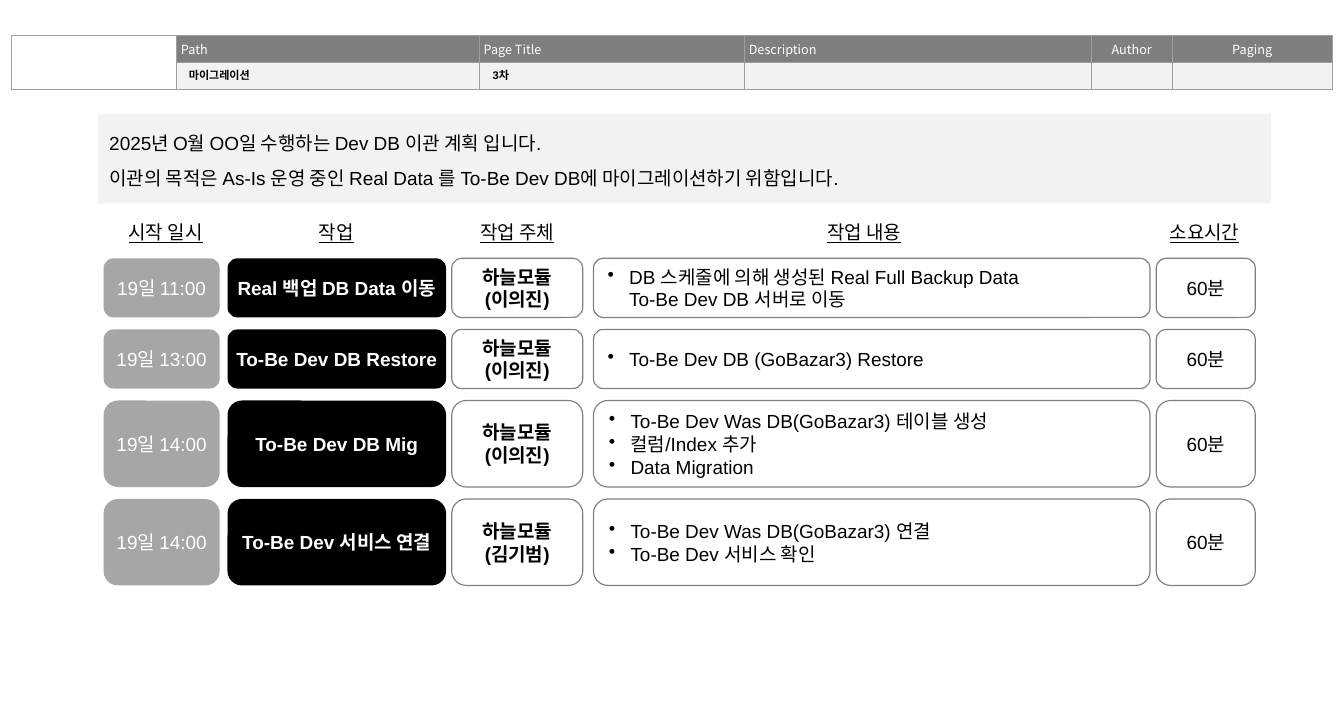
"""Build the database migration schedule slide."""
from copy import deepcopy
from dataclasses import dataclass
from typing import Optional

from lxml.etree import SubElement
from pptx import Presentation
from pptx.dml.color import RGBColor
from pptx.enum.shapes import MSO_SHAPE
from pptx.enum.text import MSO_ANCHOR as Anchor, MSO_AUTO_SIZE as AutoSize, PP_ALIGN as Align
from pptx.oxml.ns import qn
from pptx.util import Emu, Inches, Pt


@dataclass(frozen=True)
class Theme:
    font: str = "Arial"
    korean: str = "Noto Sans CJK KR"
    black: str = "000000"
    white: str = "FFFFFF"
    panel: str = "F2F2F2"
    header: str = "7F7F7F"
    time: str = "A6A6A6"
    outline: str = "808080"
    border: str = "9E9E9E"
    body_size: float = 12
    header_size: float = 8
    path_size: float = 7
    line_width: float = 0.75
    leading: float = 22


@dataclass(frozen=True)
class Column:
    heading: str
    heading_left: float
    left: float
    width: float
    fill: Optional[str] = None
    bold: bool = False
    bullet: Optional[str] = None


@dataclass(frozen=True)
class Task:
    height: float
    cells: tuple[str, str, str, str, str]


T = Theme()
WIDTH, HEIGHT = Inches(11.81), Inches(6.3)
HEADING_TOP, HEADING_WIDTH, HEADING_HEIGHT = 30, 9.74, 4.76
TASK_TOP, TASK_GAP = 36.03, 1.67
SHORT, TALL = 8.25, 12.06
HEADER_COLS = (12.28, 22.52, 19.73, 25.83, 6.01, 3.81, 3.73, 4.4)
HEADER_ROW = 3.78
HEADER_LABELS = ("", "Path", "Page Title", "Description", "Author", "Paging", "", "")
COLUMNS = (
    Column("시작 일시", 7.45, 7.71, 8.64, fill=T.time),
    Column("작업", 20.15, 16.93, 16.26, fill=T.black, bold=True),
    Column("작업 주체", 33.62, 33.62, 9.74, bold=True),
    Column("작업 내용", 59.44, 44.16, 41.41, bullet="•"),
    Column("소요시간", 84.76, 86.03, 7.37),
)
TASKS = (
    Task(SHORT, ("19일 11:00", "Real 백업 DB Data 이동", "하늘모듈\n(이의진)",
                 "DB 스케줄에 의해 생성된 Real Full Backup Data\vTo-Be Dev DB 서버로 이동", "60분")),
    Task(SHORT, ("19일 13:00", "To-Be Dev DB Restore", "하늘모듈\n(이의진)",
                 "To-Be Dev DB (GoBazar3) Restore", "60분")),
    Task(TALL, ("19일 14:00", "To-Be Dev DB Mig", "하늘모듈\n(이의진)",
                "To-Be Dev Was DB(GoBazar3) 테이블 생성\n컬럼/Index 추가\nData Migration", "60분")),
    Task(TALL, ("19일 14:00", "To-Be Dev 서비스 연결", "하늘모듈\n(김기범)",
                "To-Be Dev Was DB(GoBazar3) 연결\nTo-Be Dev 서비스 확인", "60분")),
)
INTRO = ("2025년 O월 OO일 수행하는 Dev DB 이관 계획 입니다.\n"
         "이관의 목적은 As-Is 운영 중인 Real Data 를 To-Be Dev DB에 마이그레이션하기 위함입니다.")


def rgb(color: str) -> RGBColor:
    return RGBColor.from_string(color)


def box(left: float, top: float, width: float, height: float) -> tuple[Emu, ...]:
    shares = ((left, WIDTH), (top, HEIGHT), (width, WIDTH), (height, HEIGHT))
    return tuple(Emu(round(share * full / 100)) for share, full in shares)


def place(sp, *area: float) -> None:
    sp.left, sp.top, sp.width, sp.height = box(*area)


def write(tf, text: str, *, size: float = T.body_size, color: str = T.black,
          font: str = T.font, bold: bool = False, underline: bool = False,
          align: Align = Align.LEFT, bullet: Optional[str] = None,
          leading: Optional[float] = None) -> None:
    for i, line in enumerate(text.split("\n")):
        p = tf.add_paragraph() if i else tf.paragraphs[0]
        p.text = line
        p.alignment = align
        p.space_before = Pt(0)
        if leading:
            p.line_spacing = Pt(leading)
        pPr = p._p.get_or_add_pPr()
        indent = Inches(0.19) if bullet else 0
        pPr.set("marL", str(indent))
        pPr.set("indent", str(-indent))
        if bullet:
            SubElement(pPr, qn("a:buChar"), char=bullet)
        else:
            SubElement(pPr, qn("a:buNone"))
        for r in p.runs:
            f = r.font
            f.name, f.size, f.bold, f.underline = font, Pt(size), bold, underline
            f.color.rgb = rgb(color)
            SubElement(r._r.rPr, qn("a:ea"), typeface=T.korean)
        for br in p._p.findall(qn("a:br")):
            br.append(deepcopy(p.runs[0]._r.rPr))
        if not line:
            p._p.get_or_add_endParaRPr().set("sz", str(round(size * 100)))


def set_frame(tf, anchor: Anchor, wrap: bool = True) -> None:
    tf.auto_size = AutoSize.NONE
    tf.word_wrap = wrap
    tf.vertical_anchor = anchor


def add_label(s, area: tuple[float, ...], text: str, **fmt) -> None:
    tf = s.shapes.add_textbox(*box(*area)).text_frame
    set_frame(tf, Anchor.TOP)
    write(tf, text, **fmt)


def add_borders(cell, sides: str) -> None:
    tcPr = cell._tc.get_or_add_tcPr()
    for side in "LRTB":
        ln = SubElement(tcPr, qn(f"a:ln{side}"), w=str(Pt(T.line_width)))
        if side in sides:
            SubElement(SubElement(ln, qn("a:solidFill")), qn("a:srgbClr"), val=T.border)
        else:
            SubElement(ln, qn("a:noFill"))


def add_header(s) -> None:
    area = box(0.85, 4.92, sum(HEADER_COLS), 2 * HEADER_ROW)
    table = s.shapes.add_table(2, len(HEADER_COLS), *area).table
    table.first_row = table.horz_banding = False
    for row in table.rows:
        row.height = box(0, 0, 0, HEADER_ROW)[3]
    for j, (width, label) in enumerate(zip(HEADER_COLS, HEADER_LABELS)):
        table.columns[j].width = box(0, 0, width, 0)[2]
        for i in range(2):
            cell = table.cell(i, j)
            cell.margin_left = cell.margin_right = Inches(0.04)
            cell.margin_top = cell.margin_bottom = Inches(0.04)
            cell.vertical_anchor = Anchor.MIDDLE
            inner = "TB" + "L" * (j <= 5) + "R" * (j not in (5, 6))
            add_borders(cell, inner if i else "LRTB")
            if j:
                cell.fill.solid()
                cell.fill.fore_color.rgb = rgb(T.panel if i else T.header)
            else:
                cell.fill.background()
            write(cell.text_frame, "" if i else label, size=T.header_size, color=T.white,
                  font=T.korean, align=Align.CENTER if j >= 4 else Align.LEFT)
    table.cell(0, 0).merge(table.cell(1, 0))
    table.cell(0, 5).merge(table.cell(0, 7))


def add_card(s, col: Column, top: float, height: float, text: str) -> None:
    area = box(col.left, top, col.width, height)
    sp = s.shapes.add_shape(MSO_SHAPE.ROUNDED_RECTANGLE, *area)
    sp.shadow.inherit = False
    sp.fill.solid()
    sp.fill.fore_color.rgb = rgb(col.fill or T.white)
    if col.fill:
        sp.line.fill.background()
    else:
        clr = sp._element.spPr.find(qn("a:solidFill"))[0]
        SubElement(clr, qn("a:alpha"), val="50000")
        sp.line.color.rgb = rgb(T.outline)
        sp.line.width = Pt(T.line_width)
    set_frame(sp.text_frame, Anchor.MIDDLE, wrap=bool(col.bullet))
    write(sp.text_frame, text, color=T.white if col.fill else T.black, bold=col.bold,
          align=Align.LEFT if col.bullet else Align.CENTER, bullet=col.bullet)


def main() -> None:
    prs = Presentation()
    prs.slide_width, prs.slide_height = WIDTH, HEIGHT
    s = prs.slides.add_slide(prs.slide_layouts[1])
    title, intro = s.shapes.title, s.placeholders[1]
    add_header(s)
    s.shapes._spTree.append(title._element)
    place(title, 13.21, 8.73, 21.51, 3.49)
    set_frame(title.text_frame, Anchor.TOP)
    write(title.text_frame, "마이그레이션", size=T.path_size, bold=True)
    add_label(s, (35.82, 8.73, 19.56, 3.49), "3차", size=T.path_size, bold=True)
    place(intro, 7.28, 15.87, 87.3, 12.54)
    intro.fill.solid()
    intro.fill.fore_color.rgb = rgb(T.panel)
    set_frame(intro.text_frame, Anchor.TOP)
    write(intro.text_frame, INTRO, leading=T.leading)
    for col in COLUMNS:
        add_label(s, (col.heading_left, HEADING_TOP, HEADING_WIDTH, HEADING_HEIGHT),
                  col.heading, underline=True, align=Align.CENTER)
    top = TASK_TOP
    for task in TASKS:
        for col, text in zip(COLUMNS, task.cells):
            add_card(s, col, top, task.height, text)
        top += task.height + TASK_GAP
    prs.save("out.pptx")


if __name__ == "__main__":
    main()
